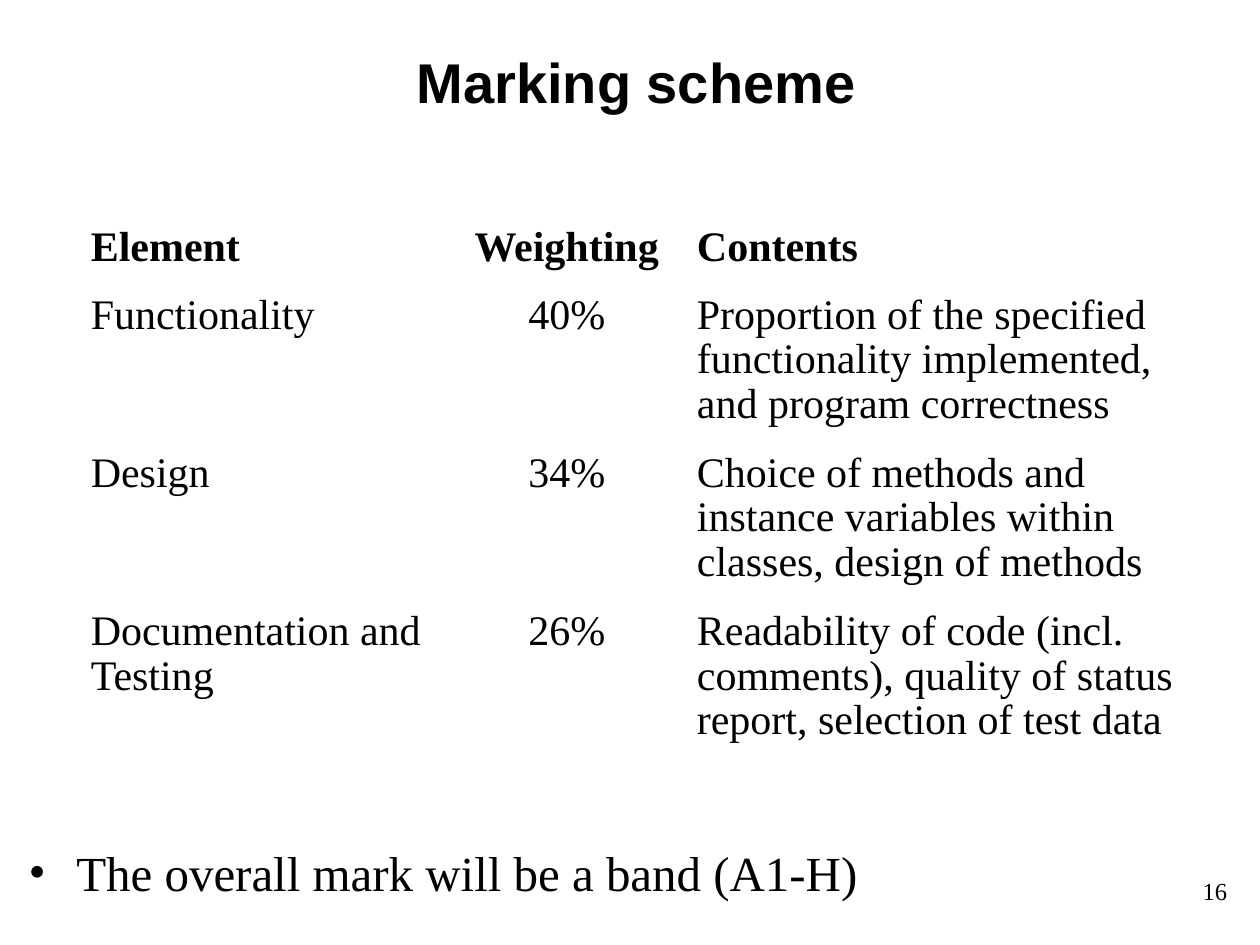
from dataclasses import dataclass

from lxml.etree import SubElement
from pptx import Presentation
from pptx.dml.color import RGBColor
from pptx.enum.text import MSO_ANCHOR as Anchor, PP_ALIGN as Align
from pptx.oxml.ns import qn
from pptx.util import Cm, Pt


@dataclass(frozen=True)
class Theme:
    ink: RGBColor = RGBColor(0, 0, 0)
    heading_font: str = "Arial"
    body_font: str = "Times New Roman"
    title_size: int = 32
    bullet_size: int = 28
    table_size: int = 24
    number_size: int = 14
    table_spacing: float = 0.96


class SlideBuilder:
    def __init__(self, slide, theme):
        self.s, self.theme = slide, theme

    def _run(self, p, text, size, font=None, bold=False):
        r = p.add_run()
        r.text = text
        r.font.name = font or self.theme.body_font
        r.font.size = Pt(size)
        r.font.bold = bold
        r.font.color.rgb = self.theme.ink

    def _box(self, left, top, width, height, anchor, wrap=True):
        sp = self.s.shapes.add_textbox(Cm(left), Cm(top), Cm(width), Cm(height))
        tf = sp.text_frame
        tf.word_wrap = wrap
        tf.vertical_anchor = anchor
        return tf.paragraphs[0]

    def title(self, text, *box):
        p = self._box(*box, Anchor.MIDDLE)
        p.alignment = Align.CENTER
        self._run(p, text, self.theme.title_size, self.theme.heading_font, True)

    def page_number(self, text, *box):
        p = self._box(*box, Anchor.MIDDLE, wrap=False)
        p.alignment = Align.RIGHT
        self._run(p, text, self.theme.number_size)

    def bullet(self, text, *box):
        p = self._box(*box, Anchor.TOP)
        pPr = p._p.get_or_add_pPr()
        indent = Cm(0.96)
        pPr.set("marL", str(indent))
        pPr.set("indent", str(-indent))
        SubElement(pPr, qn("a:buFont"), typeface=self.theme.body_font)
        SubElement(pPr, qn("a:buChar"), char="•")
        self._run(p, text, self.theme.bullet_size)

    def table(self, rows, left, top, widths, heights, aligns):
        """Add an unfilled table whose first row is bold."""
        frame = self.s.shapes.add_table(
            len(rows), len(widths), Cm(left), Cm(top),
            Cm(sum(widths)), Cm(sum(heights)))
        tbl = frame.table
        tbl.first_row = tbl.horz_banding = False
        # "No Style, No Grid"
        tbl._tbl.tblPr.find(qn("a:tableStyleId")).text = (
            "{2D5ABB26-0587-4C30-8999-92F81FD0307C}")
        for col, width in zip(tbl.columns, widths):
            col.width = Cm(width)
        for i, (row, height) in enumerate(zip(rows, heights)):
            tbl.rows[i].height = Cm(height)
            for j, (text, align) in enumerate(zip(row, aligns)):
                cell = tbl.cell(i, j)
                cell.fill.background()
                cell.margin_left = cell.margin_right = Cm(0.2)
                cell.margin_top = cell.margin_bottom = Cm(0.13)
                p = cell.text_frame.paragraphs[0]
                p.alignment = align
                p.line_spacing = self.theme.table_spacing
                self._run(p, text, self.theme.table_size, bold=i == 0)


MARKING = [
    ("Element", "Weighting", "Contents"),
    ("Functionality", "40%",
     "Proportion of the specified functionality implemented, "
     "and program correctness"),
    ("Design", "34%",
     "Choice of methods and instance variables within classes, "
     "design of methods"),
    ("Documentation and Testing", "26%",
     "Readability of code (incl. comments), quality of status report, "
     "selection of test data"),
]


def main():
    prs = Presentation()
    prs.slide_width, prs.slide_height = Cm(25.4), Cm(19.05)
    blank = prs.slide_layouts[6]
    slide = SlideBuilder(prs.slides.add_slide(blank), Theme())
    slide.title("Marking scheme", 2.03, 0.79, 21.6, 1.7)
    slide.page_number("16", 19.71, 17.32, 5.28, 1.27)
    slide.table(MARKING, 1.63, 4.42, widths=(7.37, 4.85, 10.11),
                heights=(1.37, 3.05, 3.05, 3.05),
                aligns=(Align.LEFT, Align.CENTER, Align.LEFT))
    slide.bullet("The overall mark will be a band (A1-H)",
                 0.33, 16.86, 23.8, 1.93)
    prs.save("out.pptx")


if __name__ == "__main__":
    main()
